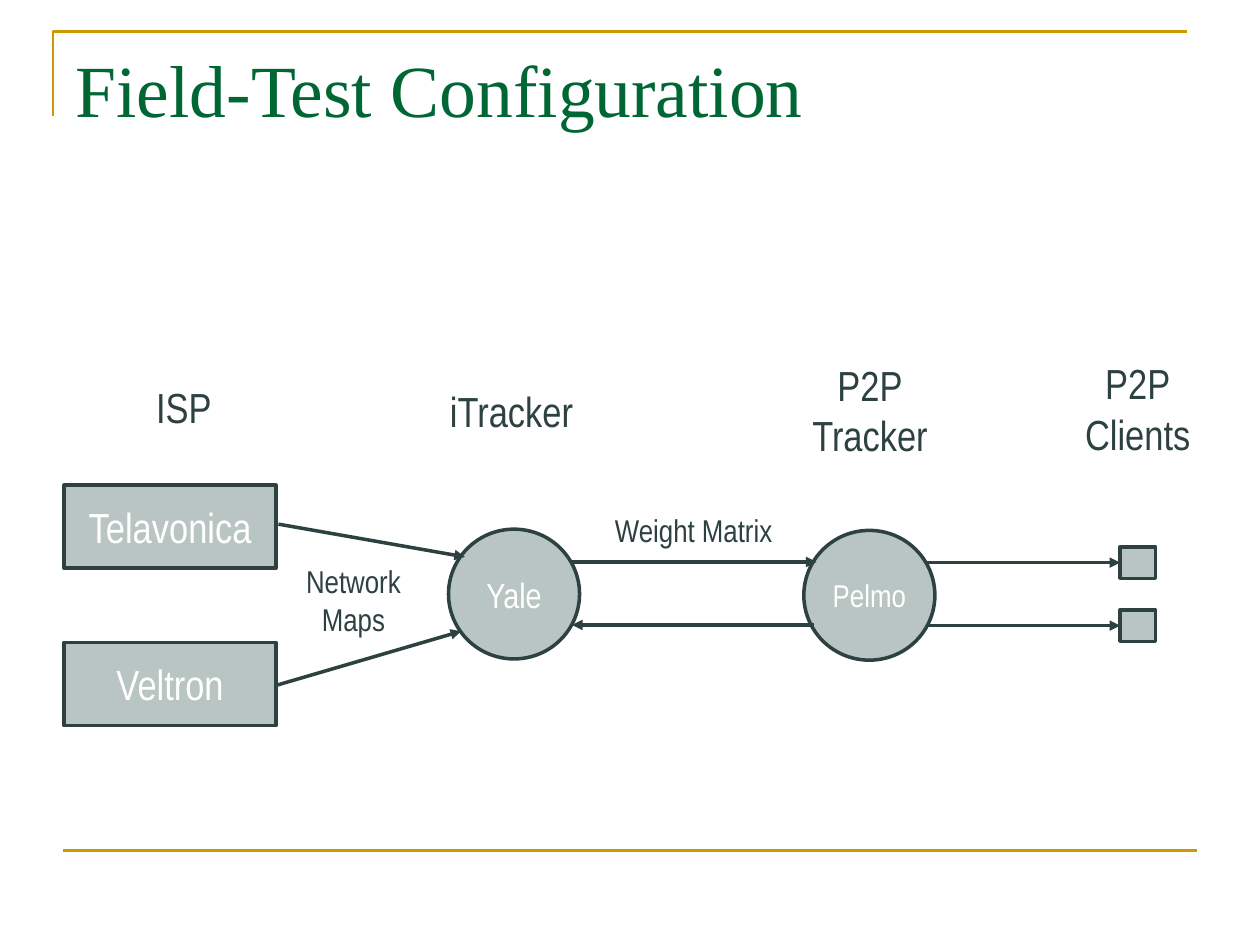
from lxml.etree import SubElement
from pptx import Presentation
from pptx.dml.color import RGBColor
from pptx.enum.shapes import MSO_CONNECTOR, MSO_SHAPE
from pptx.enum.text import MSO_ANCHOR, PP_ALIGN
from pptx.oxml.ns import qn
from pptx.util import Inches, Pt

TITLE = "Field-Test Configuration"
GOLD, GREEN, SLATE, TEAL, WHITE = "CC9900", "006633", "2D4141", "2B5046", "FFFFFF"

ISPS = ["Telavonica", "Veltron"]
ISP_LEFT, ISP_TOP, ISP_STEP, ISP_SIZE = 0.51, 3.85, 1.25, (1.68, 0.66)
TRACKERS = [("Yale", 3.56, 4.2, 20), ("Pelmo", 6.38, 4.21, 18)]
TRACKER_SIZE = (1.04, 1.03)
CLIENT_LEFT, CLIENT_TOP, CLIENT_STEP, CLIENT_SIZE = 8.89, 4.34, 0.5, (0.28, 0.25)
CLIENT_COUNT = 2
LABELS = [
    ("ISP", (1.21, 3.03, 0.5, 0.4), 24),
    ("iTracker", (3.43, 3.06, 1.26, 0.4), 24),
    ("P2P\nTracker", (6.32, 2.85, 1.17, 0.8), 24),
    ("P2P\nClients", (8.48, 2.67, 1.1, 1.14), 24),
    ("Network\nMaps", (2.03, 4.38, 1.55, 0.76), 18),
    ("Weight Matrix", (4.73, 4, 1.55, 0.41), 18),
]
ARROWS = [
    ((2.21, 4.16), (3.69, 4.42)),
    ((2.19, 5.44), (3.66, 5.01)),
    ((4.54, 4.46), (6.48, 4.46)),
    ((6.46, 4.96), (4.54, 4.96)),
]


def color(hex_value):
    return RGBColor.from_string(hex_value)


def inches(values):
    return [Inches(value) for value in values]


def set_line(line, hex_value, width):
    line.color.rgb = color(hex_value)
    line.width = Pt(width)


def write(frame, text, size, hex_value, font="Arial Narrow", align=PP_ALIGN.CENTER):
    frame.text = text
    for paragraph in frame.paragraphs:
        paragraph.alignment = align
        values = {"name": font, "size": Pt(size), "bold": False}
        for key, value in values.items():
            setattr(paragraph.font, key, value)
        paragraph.font.color.rgb = color(hex_value)


def center_frame(frame):
    values = {"word_wrap": True, "vertical_anchor": MSO_ANCHOR.MIDDLE,
              "margin_left": 0, "margin_top": 0, "margin_right": 0, "margin_bottom": 0}
    for key, value in values.items():
        setattr(frame, key, value)


def add_node(slide, kind, position, size, text="", font_size=24):
    node = slide.shapes.add_shape(kind, *inches((*position, *size)))
    node.shadow.inherit = False
    node.fill.solid()
    node.fill.fore_color.rgb = color(TEAL)
    tint = node._element.spPr.find(qn("a:solidFill"))[0]
    SubElement(tint, qn("a:alpha"), val="33000")
    set_line(node.line, SLATE, 2)
    if text:
        center_frame(node.text_frame)
        write(node.text_frame, text, font_size, WHITE)


def add_line(slide, start, end, hex_value, width, arrow=False):
    connector = slide.shapes.add_connector(MSO_CONNECTOR.STRAIGHT, *inches((*start, *end)))
    set_line(connector.line, hex_value, width)
    properties = connector._element.spPr
    if arrow:
        SubElement(properties.find(qn("a:ln")), qn("a:tailEnd"), type="triangle")
    SubElement(properties, qn("a:effectLst"))


def add_frame(slide):
    builder = slide.shapes.build_freeform(Inches(0.42), Inches(0.92))
    builder.add_line_segments([inches((0.42, 0.25)), inches((9.42, 0.25))], close=False)
    corner = builder.convert_to_shape()
    corner.shadow.inherit = False
    corner.fill.background()
    set_line(corner.line, GOLD, 1.5)
    add_line(slide, (0.5, 6.75), (9.5, 6.75), GOLD, 1.5)


def add_title(slide):
    title = slide.shapes.title
    title.left, title.top, title.width, title.height = inches((0.5, 0.3, 9, 1.25))
    title.text_frame.vertical_anchor = MSO_ANCHOR.TOP
    write(title.text_frame, TITLE, 42, GREEN, "Times New Roman", PP_ALIGN.LEFT)


def add_diagram(slide):
    for row, isp in enumerate(ISPS):
        add_node(slide, MSO_SHAPE.RECTANGLE, (ISP_LEFT, ISP_TOP + row * ISP_STEP), ISP_SIZE, isp)
    for name, left, top, size in TRACKERS:
        add_node(slide, MSO_SHAPE.OVAL, (left, top), TRACKER_SIZE, name, size)
    for start, end in ARROWS:
        add_line(slide, start, end, SLATE, 2, arrow=True)
    for row in range(CLIENT_COUNT):
        top = CLIENT_TOP + row * CLIENT_STEP
        middle = top + CLIENT_SIZE[1] / 2
        add_node(slide, MSO_SHAPE.RECTANGLE, (CLIENT_LEFT, top), CLIENT_SIZE)
        add_line(slide, (7.36, middle), (CLIENT_LEFT, middle), SLATE, 2, arrow=True)
    for text, box, size in LABELS:
        label = slide.shapes.add_textbox(*inches(box))
        center_frame(label.text_frame)
        label.text_frame.word_wrap = False
        write(label.text_frame, text, size, SLATE)


def main():
    presentation = Presentation()
    presentation.slide_width, presentation.slide_height = inches((10, 7.5))
    slide = presentation.slides.add_slide(presentation.slide_layouts[5])
    add_frame(slide)
    add_title(slide)
    add_diagram(slide)
    presentation.save("out.pptx")


if __name__ == "__main__":
    main()
